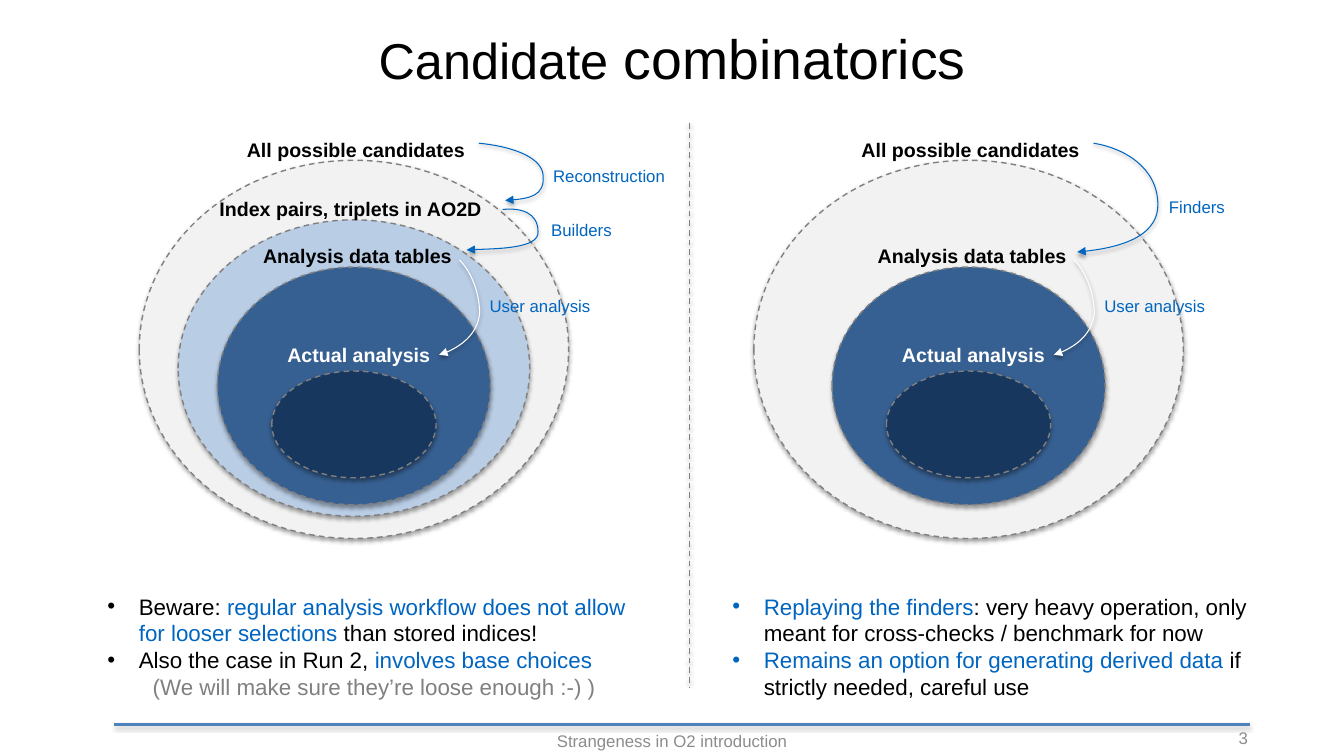
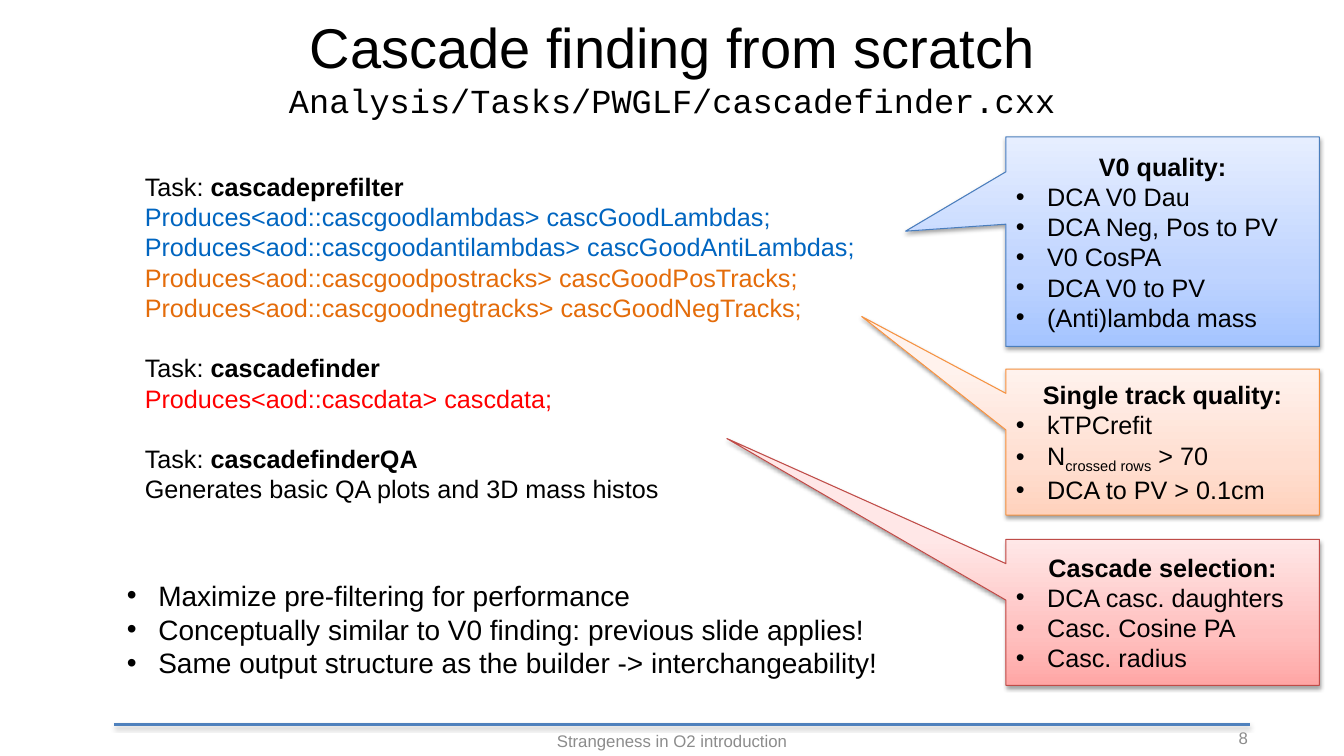
from copy import deepcopy
from dataclasses import dataclass

from lxml import etree
from pptx import Presentation
from pptx.dml.color import RGBColor
from pptx.enum.dml import MSO_LINE
from pptx.enum.shapes import MSO_CONNECTOR, MSO_SHAPE
from pptx.enum.text import MSO_ANCHOR, MSO_AUTO_SIZE, PP_ALIGN
from pptx.oxml.ns import qn
from pptx.util import Cm, Pt

LEFT, CENTER, RIGHT = PP_ALIGN.LEFT, PP_ALIGN.CENTER, PP_ALIGN.RIGHT
TOP, MIDDLE = MSO_ANCHOR.TOP, MSO_ANCHOR.MIDDLE
GROW, FIXED = MSO_AUTO_SIZE.SHAPE_TO_FIT_TEXT, MSO_AUTO_SIZE.NONE
ELLIPSE, CALLOUT = MSO_SHAPE.OVAL, MSO_SHAPE.RECTANGULAR_CALLOUT
STRAIGHT, DASH = MSO_CONNECTOR.STRAIGHT, MSO_LINE.DASH


@dataclass(frozen=True)
class Theme:
    font: str = "Arial"
    code_font: str = "Courier New"
    black: str = "000000"
    white: str = "FFFFFF"
    gray: str = "808080"
    footer: str = "8C8C8C"
    rule: str = "4F81BD"
    blue: str = "0065C0"
    orange: str = "E46C0A"
    red: str = "FF0000"
    title_size: float = 40
    subtitle_size: float = 24
    summary_size: float = 20
    body_size: float = 18
    remark_size: float = 16
    ring_size: float = 14
    small_size: float = 12


THEME = Theme()


@dataclass(frozen=True)
class Box:
    left: float
    top: float
    width: float
    height: float

    def lengths(self) -> tuple:
        return Cm(self.left), Cm(self.top), Cm(self.width), Cm(self.height)


@dataclass(frozen=True)
class Run:
    text: str
    color: str = THEME.black
    bold: bool = False
    size: float = 0
    font: str = THEME.font
    baseline: int = 0


@dataclass(frozen=True)
class Para:
    runs: tuple
    align: int = LEFT
    bullet: bool = False
    before: float = 0


@dataclass(frozen=True)
class Ring:
    label: str
    fill: str
    top: float
    width: float
    height: float
    label_box: Box
    label_color: str = THEME.black


@dataclass(frozen=True)
class Step:
    label: str
    label_box: Box
    curve: tuple
    color: str = THEME.blue


@dataclass(frozen=True)
class Cut:
    heading: str
    items: tuple
    top: float
    height: float
    pointer: tuple
    line: str
    stops: tuple


def rgb(color: str) -> RGBColor:
    return RGBColor.from_string(color)


def bullets(*items) -> list:
    return [Para(item if isinstance(item, tuple) else (Run(item),), bullet=True) for item in items]


def write(frame, paras, size: float, anchor=TOP, wrap: bool = True, auto_size=FIXED) -> None:
    frame_format = {"word_wrap": wrap, "auto_size": auto_size, "vertical_anchor": anchor}
    for name, value in frame_format.items():
        setattr(frame, name, value)
    for index, para in enumerate(paras):
        paragraph = frame.add_paragraph() if index else frame.paragraphs[0]
        paragraph.alignment = para.align
        if para.before:
            paragraph.space_before = Pt(para.before)
        if para.bullet:
            properties = paragraph._p.get_or_add_pPr()
            properties.set("marL", str(Cm(0.79)))
            properties.set("indent", str(-Cm(0.79)))
            etree.SubElement(properties, qn("a:buFont"), typeface=THEME.font)
            etree.SubElement(properties, qn("a:buChar"), char="•")
        for run in para.runs:
            piece = paragraph.add_run()
            piece.text = run.text
            run_format = {"name": run.font, "size": Pt(run.size or size), "bold": run.bold}
            for name, value in run_format.items():
                setattr(piece.font, name, value)
            piece.font.color.rgb = rgb(run.color)
            if run.baseline:
                piece.font._element.set("baseline", str(run.baseline * 1000))


def add_text(slide, box: Box, paras, size: float, **frame_format) -> None:
    write(slide.shapes.add_textbox(*box.lengths()).text_frame, paras, size, **frame_format)


def add_label(slide, box: Box, run: Run, size: float) -> None:
    add_text(slide, box, [Para((run,))], size, wrap=False, auto_size=GROW)


def outline(shape, color: str, width: float, dashed: bool = False) -> None:
    shape.line.color.rgb = rgb(color)
    shape.line.width = Pt(width)
    if dashed:
        shape.line.dash_style = DASH
    effects = etree.SubElement(shape._element.spPr, qn("a:effectLst"))
    shadow = etree.SubElement(effects, qn("a:outerShdw"), blurRad=str(Pt(3.1)),
                              dist=str(Pt(1.7)), dir="5400000", rotWithShape="0")
    tint = etree.SubElement(shadow, qn("a:srgbClr"), val=THEME.black)
    etree.SubElement(tint, qn("a:alpha"), val="36000")


def add_rule(slide, start: tuple, end: tuple, color: str, width: float, dashed: bool = False) -> None:
    ends = (Cm(value) for value in (*start, *end))
    outline(slide.shapes.add_connector(STRAIGHT, *ends), color, width, dashed)


def add_curve(slide, curve: tuple, color: str, shift: float) -> None:
    points = [(Cm(x + shift), Cm(y)) for x, y in curve]
    builder = slide.shapes.build_freeform(*points[0])
    builder.add_line_segments(points[1:], close=False)
    arrow = builder.convert_to_shape()
    segments = list(arrow._element.iter(qn("a:lnTo")))
    for first, second, last in zip(segments[::3], segments[1::3], segments[2::3]):
        bezier = etree.Element(qn("a:cubicBezTo"))
        first.addprevious(bezier)
        for segment in (first, second, last):
            bezier.append(segment[0])
            segment.getparent().remove(segment)
    arrow.fill.background()
    outline(arrow, color, 0.75)
    etree.SubElement(arrow._element.spPr.find(qn("a:ln")), qn("a:tailEnd"), type="triangle")


def add_ring(slide, ring: Ring, shift: float) -> None:
    box = Box(RING_CENTER + shift - ring.width / 2, ring.top, ring.width, ring.height)
    ellipse = slide.shapes.add_shape(ELLIPSE, *box.lengths())
    ellipse.fill.solid()
    ellipse.fill.fore_color.rgb = rgb(ring.fill)
    outline(ellipse, THEME.gray, 1, dashed=True)
    add_label(slide, shifted(ring.label_box, shift), Run(ring.label, ring.label_color, True), THEME.ring_size)


def shifted(box: Box, shift: float) -> Box:
    return Box(box.left + shift, box.top, box.width, box.height)


def add_nest(slide, rings: tuple, steps: tuple, shift: float) -> None:
    for ring in rings:
        add_ring(slide, ring, shift)
    for step in steps:
        add_curve(slide, step.curve, step.color, shift)
        add_label(slide, shifted(step.label_box, shift), Run(step.label, THEME.blue), THEME.small_size)


def add_cut(slide, cut: Cut) -> None:
    callout = slide.shapes.add_shape(CALLOUT, *Box(25.35, cut.top, 7.9, cut.height).lengths())
    for index, value in enumerate(cut.pointer):
        callout.adjustments[index] = value
    callout.fill.gradient()
    callout.fill.gradient_angle = 90
    stop_list = next(callout._element.spPr.iter(qn("a:gsLst")))
    stop_list.append(deepcopy(stop_list[-1]))
    for stop, position, color in zip(callout.fill.gradient_stops, (0, 0.35, 1), cut.stops):
        stop.position = position
        stop.color.rgb = rgb(color)
    outline(callout, cut.line, 0.75)
    heading = Para((Run(cut.heading, bold=True),), CENTER)
    write(callout.text_frame, [heading, *bullets(*cut.items)], THEME.body_size, anchor=MIDDLE)


def add_page(deck, number: int, title_box: Box, title: list):
    slide = deck.slides.add_slide(deck.slide_layouts[6])
    add_rule(slide, (2.87, 18.26), (31.5, 18.26), THEME.rule, 2)
    add_text(slide, title_box, title, THEME.title_size, anchor=MIDDLE)
    for box, text, align in (
        (Box(7.44, 18.16, 19, 1.02), "Strangeness in O2 introduction", CENTER),
        (Box(23.8, 18.08, 7.9, 1.02), str(number), RIGHT),
    ):
        add_text(slide, box, [Para((Run(text, THEME.footer),), align)], THEME.small_size, anchor=MIDDLE)
    return slide


RING_CENTER = 8.92
FINDER_SHIFT = 15.49

ALL = Ring("All possible candidates", "F2F2F2", 4.04, 10.82, 9.53, Box(5.97, 3.35, 6.02, 0.86))
INDICES = Ring("Index pairs, triplets in AO2D", "B9CDE5", 5.54, 8.86, 7.47, Box(5.28, 4.83, 7.16, 0.86))
TABLES = Ring("Analysis data tables", "376092", 6.73, 6.88, 5.99, Box(6.38, 6.02, 5.28, 0.86))
ACTUAL = Ring("Actual analysis", "17375E", 9.35, 4.14, 2.69, Box(6.99, 8.51, 4.14, 0.86), THEME.white)

RECONSTRUCTION = Step("Reconstruction", Box(13.69, 4.06, 3.38, 0.76), (
    (12.07, 3.61), (12.83, 3.68), (13.69, 3.94), (13.69, 4.45), (13.72, 4.93), (13.23, 5.03), (12.73, 5.05)))
BUILDERS = Step("Builders", Box(13.64, 5.41, 2.08, 0.76), (
    (12.67, 5.28), (13.13, 5.23), (13.56, 5.36), (13.56, 5.84), (13.59, 6.27), (12.24, 6.27), (11.76, 6.3)))
FINDERS = Step("Finders", Box(13.72, 4.83, 1.93, 0.76), (
    (12.07, 3.61), (12.83, 3.73), (13.69, 4.22), (13.69, 5.16), (13.69, 6.07), (12.17, 6.32), (11.66, 6.35)))
USER = Step("User analysis", Box(12.09, 7.32, 3.07, 0.76), (
    (11.58, 6.55), (11.84, 6.81), (12.07, 7.29), (12.09, 7.87), (12.04, 8.46), (11.35, 8.89), (11.07, 8.94)),
    THEME.white)

BUILDER_REMARKS = bullets(
    (Run("Beware: "), Run("regular analysis workflow does not allow for looser selections", THEME.blue),
     Run(" than stored indices!")),
    (Run("Also the case in Run 2, "), Run("involves base choices", THEME.blue)),
) + [Para((Run("(We will make sure they’re loose enough :-) )", THEME.gray),), CENTER)]
FINDER_REMARKS = bullets(
    (Run("Replaying the finders", THEME.blue),
     Run(": very heavy operation, only meant for cross-checks / benchmark for now")),
    (Run("Remains an option for generating derived data ", THEME.blue),
     Run("if strictly needed, careful use")),
)

TASKS = (
    ("cascadeprefilter", (
        Run("Produces<aod::cascgoodlambdas> cascGoodLambdas;", THEME.blue),
        Run("Produces<aod::cascgoodantilambdas> cascGoodAntiLambdas;", THEME.blue),
        Run("Produces<aod::cascgoodpostracks> cascGoodPosTracks;", THEME.orange),
        Run("Produces<aod::cascgoodnegtracks> cascGoodNegTracks;", THEME.orange))),
    ("cascadefinder", (Run("Produces<aod::cascdata> cascdata;", THEME.red),)),
    ("cascadefinderQA", (Run("Generates basic QA plots and 3D mass histos"),)),
)

CUTS = (
    Cut("V0 quality:",
        ("DCA V0 Dau", "DCA Neg, Pos to PV", "V0 CosPA", "DCA V0 to PV", "(Anti)lambda mass"),
        3.45, 5.28, (-0.82, -0.05), "4B7EBC", ("A4C4FF", "BFD4FF", "E6EEFF")),
    Cut("Single track quality:",
        ("kTPCrefit", (Run("N"), Run("crossed rows", baseline=-25), Run(" > 70")), "DCA to PV > 0.1cm"),
        9.3, 3.68, (-0.96, -0.86), "F69240", ("FFD2BD", "FFDED0", "FFF2ED")),
    Cut("Cascade selection:", ("DCA casc. daughters", "Casc. Cosine PA", "Casc. radius"),
        13.59, 3.68, (-1.39, -1.19), "BF4C48", ("FFA6A5", "FFC0BF", "FFE7E7")),
)


def add_combinatorics(deck) -> None:
    title = [Para((Run("Candidate", size=36), Run(" combinatorics", size=39.6)), CENTER)]
    slide = add_page(deck, 3, Box(1.7, 0.46, 30.48, 1.98), title)
    add_nest(slide, (ALL, INDICES, TABLES, ACTUAL), (RECONSTRUCTION, BUILDERS, USER), 0)
    add_nest(slide, (ALL, TABLES, ACTUAL), (FINDERS, USER), FINDER_SHIFT)
    for left, remarks in ((2.46, BUILDER_REMARKS), (18.21, FINDER_REMARKS)):
        add_text(slide, Box(left, 14.81, 13.94, 3), remarks, THEME.remark_size, auto_size=GROW)
    add_rule(slide, (17.37, 3.1), (17.37, 17.32), THEME.gray, 1, dashed=True)


def add_cascade_finding(deck) -> None:
    file_name = Run("Analysis/Tasks/PWGLF/cascadefinder.cxx", size=THEME.subtitle_size, font=THEME.code_font)
    title = [Para((Run("Cascade finding from scratch"),), CENTER), Para((file_name,), CENTER)]
    slide = add_page(deck, 8, Box(0, 0.71, 33.87, 1.93), title)
    listing = []
    for task, lines in TASKS:
        listing.append(Para((Run("Task: "), Run(task, bold=True)), before=21.6 if listing else 0))
        listing.extend(Para((line,)) for line in lines)
    add_text(slide, Box(3.4, 4.19, 24.36, 8.71), listing, THEME.body_size, auto_size=GROW)
    for cut in CUTS:
        add_cut(slide, cut)
    summary = bullets(
        "Maximize pre-filtering for performance",
        "Conceptually similar to V0 finding: previous slide applies!",
        "Same output structure as the builder -> interchangeability!",
    )
    add_text(slide, Box(2.95, 14.45, 30, 2.82), summary, THEME.summary_size, auto_size=GROW)


def main() -> None:
    deck = Presentation()
    deck.slide_width, deck.slide_height = Cm(33.87), Cm(19.05)
    add_combinatorics(deck)
    add_cascade_finding(deck)
    deck.save("out.pptx")


if __name__ == "__main__":
    main()
